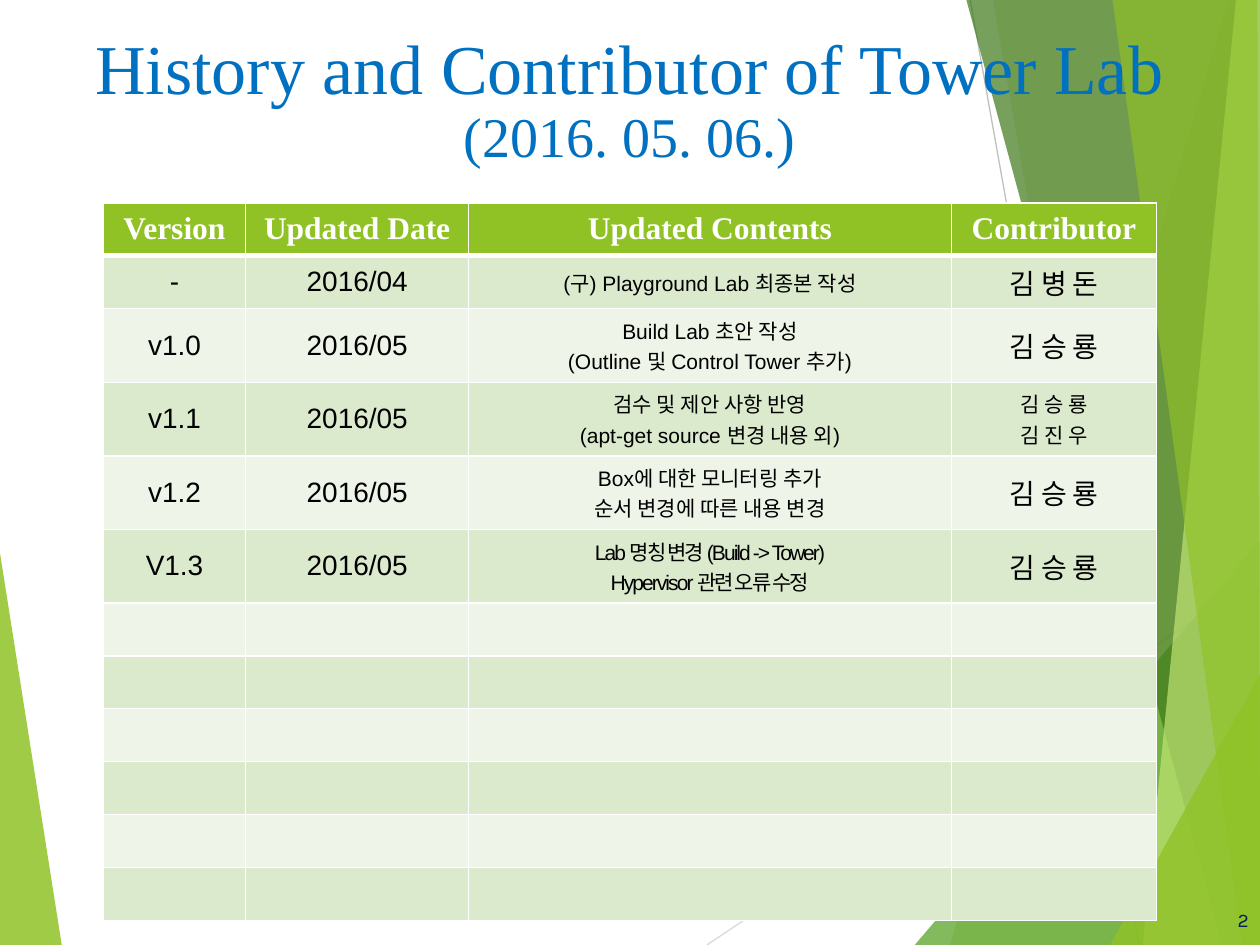
from lxml.etree import SubElement
from pptx import Presentation
from pptx.dml.color import RGBColor
from pptx.enum.shapes import MSO_CONNECTOR
from pptx.enum.text import MSO_ANCHOR, MSO_AUTO_SIZE, PP_ALIGN
from pptx.oxml import parse_xml
from pptx.oxml.ns import nsdecls, qn
from pptx.util import Inches, Pt

COLORS = {
    "leaf": "90C226", "green": "54A021", "forest": "3F7819", "lime": "C0E474",
    "title": "0070C0", "number": "002060", "white": "FFFFFF", "black": "000000",
    "odd": "DBE9CD", "even": "EEF4E8", "light": "D9D9D9", "gray": "BFBFBF",
}
LEFT_FACET = ([(0, 4.39), (0.49, 7.5), (0, 7.5)], "leaf", 85)
RIGHT_FACETS = [
    ([(9.75, 0), (7.54, 7.5), (10, 7.5), (10, 0)], "leaf", 30),
    ([(7.88, 0), (9.19, 7.5), (10, 7.5), (10, 0)], "leaf", 20),
    ([(7.26, 7.5), (10, 4.29), (10, 7.5)], "green", 72),
    ([(7.67, 0), (9.7, 7.5), (10, 7.5), (10, 0)], "forest", 70),
    ([(9.81, 0), (9.07, 7.5), (10, 7.5), (10, 0)], "lime", 70),
    ([(8.83, 0), (9.86, 7.5), (10, 7.5), (9.98, 0)], "leaf", 65),
    ([(8.81, 7.5), (10, 5.35), (10, 7.5)], "leaf", 80),
]
FACET_LINES = [((5.61, 7.5), (10, 4.57), "light"), ((7.7, 0), (9.04, 7.5), "gray")]
TITLE_LINES = [("History and Contributor of Tower Lab", 40), ("(2016. 05. 06.)", 32)]
HEADER = ["Version", "Updated Date", "Updated Contents", "Contributor"]
HISTORY = [
    ("-", "2016/04", ["(구) Playground Lab 최종본 작성"], ["김 병 돈"]),
    ("v1.0", "2016/05", ["Build Lab 초안 작성", "(Outline 및 Control Tower 추가)"], ["김 승 룡"]),
    ("v1.1", "2016/05", ["검수 및 제안 사항 반영", "(apt-get source 변경 내용 외)"], ["김 승 룡", "김 진 우"]),
    ("v1.2", "2016/05", ["Box에 대한 모니터링 추가", "순서 변경에 따른 내용 변경"], ["김 승 룡"]),
    ("V1.3", "2016/05", ["Lab 명칭 변경 (Build -> Tower)", "Hypervisor 관련 오류 수정"], ["김 승 룡"]),
]
COLUMN_WIDTHS = [1.13, 1.77, 3.83, 1.63]
ROW_COUNT = 12
ROW_HEIGHT = 0.42
CONTENTS_COLUMN = 2
TIGHT_VERSION = "V1.3"


def color(name):
    return RGBColor.from_string(COLORS[name])


def write_lines(frame, lines, name, color_name, align=PP_ALIGN.CENTER, bold=False, spacing=None, tracking=0):
    for index, (text, size) in enumerate(lines):
        paragraph = frame.paragraphs[0] if index == 0 else frame.add_paragraph()
        paragraph.alignment = align
        if spacing:
            paragraph.line_spacing = spacing
        run = paragraph.add_run()
        run.text = text
        for key, value in {"name": name, "size": Pt(size), "bold": bold}.items():
            setattr(run.font, key, value)
        run.font.color.rgb = color(color_name)
        if tracking:
            run.font._element.set("spc", str(tracking))


def add_facet(slide, points, color_name, opacity):
    corners = [(Inches(x), Inches(y)) for x, y in points]
    builder = slide.shapes.build_freeform(*corners[0])
    builder.add_line_segments(corners[1:], close=True)
    shape = builder.convert_to_shape()
    shape.shadow.inherit = False
    shape.fill.solid()
    shape.fill.fore_color.rgb = color(color_name)
    shape.line.fill.background()
    solid = shape.element.spPr.find(qn("a:solidFill"))
    SubElement(solid[0], qn("a:alpha")).set("val", str(opacity * 1000))


def add_facet_line(slide, start, end, color_name):
    ends = [Inches(value) for value in start + end]
    line = slide.shapes.add_connector(MSO_CONNECTOR.STRAIGHT, *ends)
    line.line.color.rgb = color(color_name)
    line.line.width = Pt(0.75)
    SubElement(line.element.spPr, qn("a:effectLst"))


def format_cell(cell, fill_name, widths):
    cell.vertical_anchor = MSO_ANCHOR.MIDDLE
    cell.fill.solid()
    cell.fill.fore_color.rgb = color(fill_name)
    properties = cell._tc.get_or_add_tcPr()
    for index, (side, width) in enumerate(widths.items()):
        border = parse_xml(
            f'<a:ln{side} {nsdecls("a")} w="{Pt(width)}"><a:solidFill>'
            f'<a:srgbClr val="{COLORS["white"]}"/></a:solidFill></a:ln{side}>'
        )
        properties.insert(index, border)


def add_history_table(slide):
    frame = slide.shapes.add_table(
        ROW_COUNT, len(HEADER), Inches(0.82), Inches(1.61),
        Inches(sum(COLUMN_WIDTHS)), Inches(ROW_HEIGHT * ROW_COUNT),
    )
    table = frame.table
    for column, width in zip(table.columns, COLUMN_WIDTHS):
        column.width = Inches(width)
    for row_index, row in enumerate(table.rows):
        row.height = Inches(ROW_HEIGHT)
        fill_name = "leaf" if row_index == 0 else "odd" if row_index % 2 else "even"
        widths = {"L": 1, "R": 1, "T": 3 if row_index == 1 else 1, "B": 3 if row_index == 0 else 1}
        for cell in row.cells:
            format_cell(cell, fill_name, widths)
    for column_index, text in enumerate(HEADER):
        write_lines(table.cell(0, column_index).text_frame, [(text, 18)], "Times New Roman", "white", bold=True)
    for row_index, (version, date, contents, contributors) in enumerate(HISTORY, 1):
        for column_index, texts in enumerate([[version], [date], contents, contributors]):
            is_contents = column_index == CONTENTS_COLUMN
            size = 12 if is_contents or len(texts) > 1 else 16
            tracking = -110 if is_contents and version == TIGHT_VERSION else 0
            lines = [(text, size) for text in texts]
            write_lines(table.cell(row_index, column_index).text_frame, lines, "Arial", "black", tracking=tracking)


def place(shape, left, top, width, height):
    bounds = {"left": left, "top": top, "width": width, "height": height}
    for key, value in bounds.items():
        setattr(shape, key, Inches(value))
    frame = shape.text_frame
    settings = {"word_wrap": True, "auto_size": MSO_AUTO_SIZE.NONE, "vertical_anchor": MSO_ANCHOR.MIDDLE}
    for key, value in settings.items():
        setattr(frame, key, value)
    return frame


def main():
    presentation = Presentation()
    presentation.slide_width = Inches(10)
    presentation.slide_height = Inches(7.5)
    slide = presentation.slides.add_slide(presentation.slide_layouts[5])
    title = slide.shapes.title

    add_facet(slide, *LEFT_FACET)
    for line in FACET_LINES:
        add_facet_line(slide, *line)
    for facet in RIGHT_FACETS:
        add_facet(slide, *facet)

    slide.shapes.element.append(title.element)
    title_frame = place(title, 0.44, 0.35, 9.11, 0.92)
    write_lines(title_frame, TITLE_LINES, "Times New Roman", "title", spacing=0.9)
    add_history_table(slide)
    number = slide.shapes.add_textbox(0, 0, 0, 0)
    number_frame = place(number, 9.45, 7.1, 0.56, 0.4)
    write_lines(number_frame, [("2", 11)], "Karla", "number", align=PP_ALIGN.RIGHT)
    presentation.save("out.pptx")


if __name__ == "__main__":
    main()
